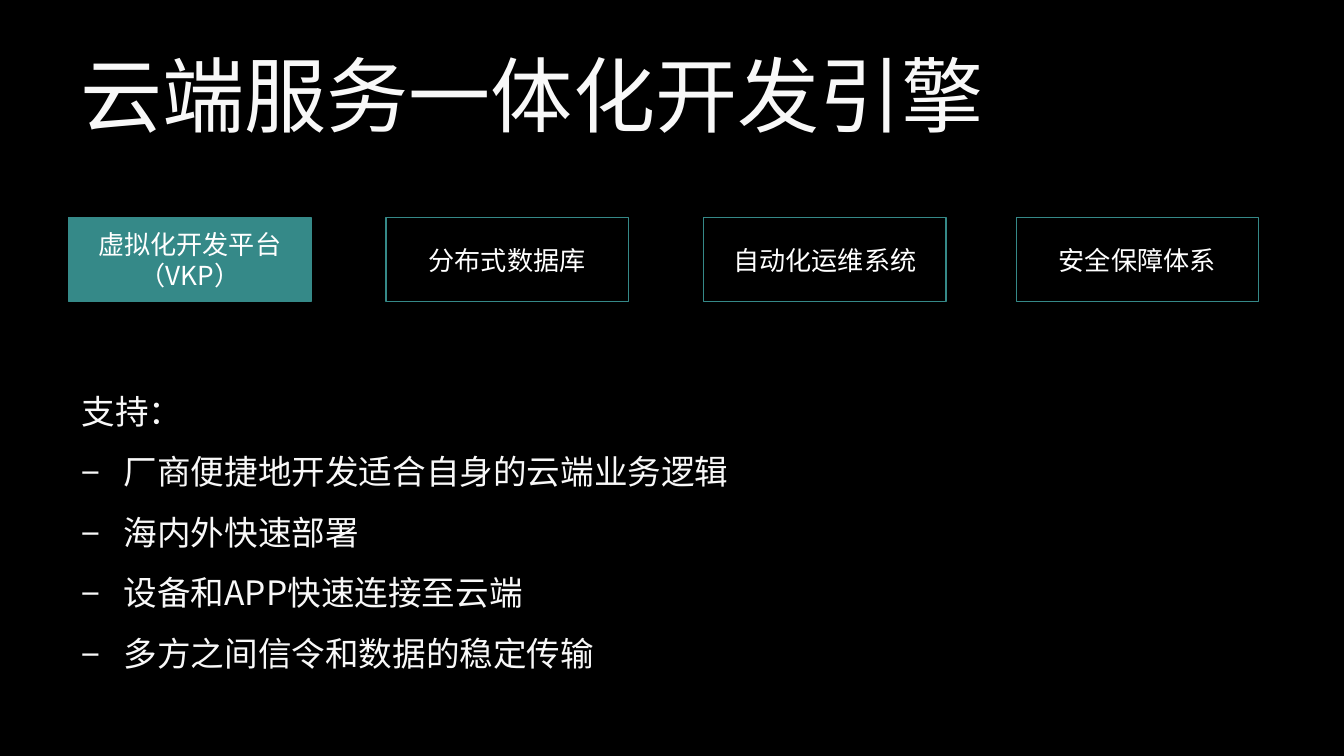
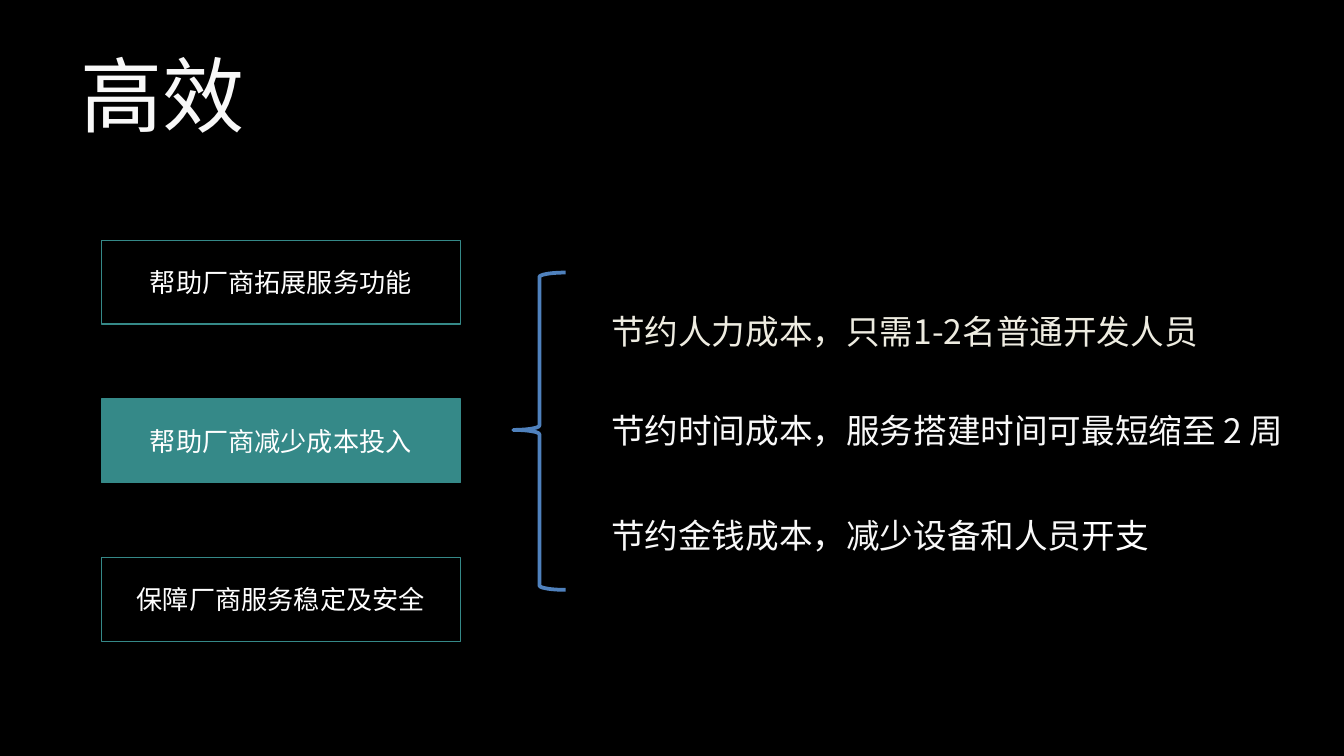
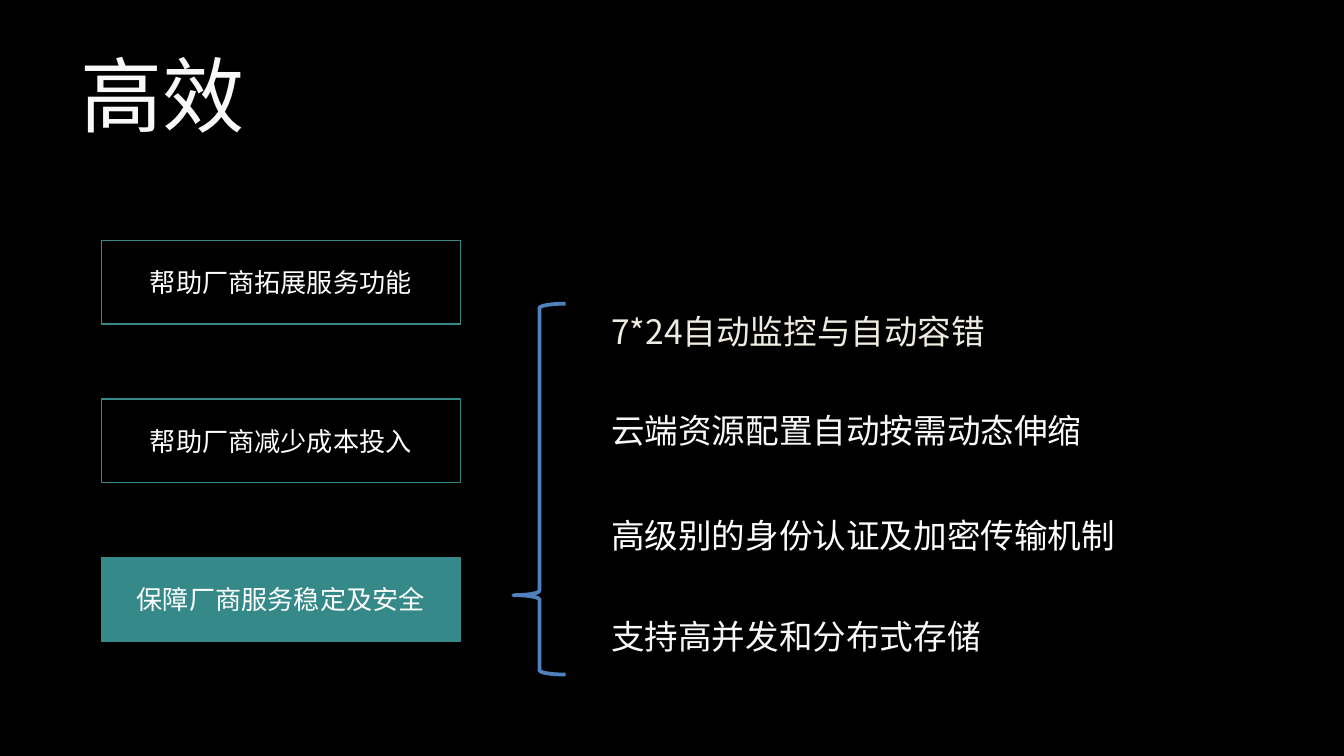
import pptx
import pptx.util
import pptx.dml.color
import pptx.enum.shapes
import pptx.enum.text
import pptx.oxml.ns
import lxml.etree

Pt = pptx.util.Pt
RGB = pptx.dml.color.RGBColor
SHAPE = pptx.enum.shapes.MSO_SHAPE
ALIGN = pptx.enum.text.PP_ALIGN
ANCHOR = pptx.enum.text.MSO_ANCHOR
FIT = pptx.enum.text.MSO_AUTO_SIZE
qn = pptx.oxml.ns.qn

FONT = "Noto Sans CJK SC"
BLACK = RGB(0x00, 0x00, 0x00)
WHITE = RGB(0xFF, 0xFF, 0xFF)
SOFT = RGB(0xF8, 0xF8, 0xF8)
CREAM = RGB(0xEE, 0xEC, 0xE1)
TEAL = RGB(0x35, 0x89, 0x88)
BLUE = RGB(0x4F, 0x81, 0xBD)

TABS = ["虚拟化开发平台（VKP）", "分布式数据库", "自动化运维系统", "安全保障体系"]
NEEDS = ["厂商便捷地开发适合自身的云端业务逻辑", "海内外快速部署",
         "设备和APP快速连接至云端", "多方之间信令和数据的稳定传输"]
GOALS = ["帮助厂商拓展服务功能", "帮助厂商减少成本投入", "保障厂商服务稳定及安全"]
COSTS = [
    (364, [("节约人力成本，只需1-2名普通开发人员", CREAM)]),
    (385, [("节约时间成本，服务搭建时间可最短缩至 2 周", SOFT)]),
    (305, [("节约金钱成本，减少设备和人员", SOFT), ("开支", WHITE)]),
]
GUARDS = [
    (364, [("7*24自动监控与自动容错", CREAM)]),
    (385, [("云端资源配置自动按需动态伸缩", SOFT)]),
    (287, [("高级别的身份认证及加密传输机制", WHITE)]),
    (215, [("支持高并发和分布式存储", SOFT)]),
]
ROW_TOPS = [0, 53.3, 109.2, 163.2]


def style(run, size, color):
    """Set the font, size and colour of a run."""
    run.font.size = Pt(size)
    run.font.color.rgb = color
    run.font.name = FONT
    props = run._r.get_or_add_rPr()
    lxml.etree.SubElement(props, qn("a:ea")).set("typeface", FONT)


def add_text(slide, box, lines, size, color):
    """Add a text box with one paragraph for each line."""
    frame = slide.shapes.add_textbox(*map(Pt, box)).text_frame
    frame.word_wrap = True
    for num, line in enumerate(lines):
        para = frame.add_paragraph() if num else frame.paragraphs[0]
        para.text = line
        style(para.runs[0], size, color)
    return frame


def add_page(deck, title):
    """Add a black slide with its title."""
    slide = deck.slides.add_slide(deck.slide_layouts[6])
    slide.background.fill.solid()
    slide.background.fill.fore_color.rgb = BLACK
    frame = add_text(slide, (36, 16.5, 648, 67.5), [title], 44, SOFT)
    frame.vertical_anchor = ANCHOR.MIDDLE
    return slide


def add_card(slide, box, label, active):
    """Add an outlined label, filled when active."""
    card = slide.shapes.add_shape(SHAPE.RECTANGLE, *map(Pt, box))
    card.shadow.inherit = False
    if active:
        card.fill.solid()
        card.fill.fore_color.rgb = TEAL
    else:
        card.fill.background()
    card.line.color.rgb = TEAL
    card.line.width = Pt(0.75)
    frame = card.text_frame
    frame.text = label
    frame.vertical_anchor = ANCHOR.MIDDLE
    frame.paragraphs[0].alignment = ALIGN.CENTER
    style(frame.paragraphs[0].runs[0], 14, WHITE)


def add_tabs(slide, left, top, active):
    """Add the row of engine parts."""
    for num, (label, shift) in enumerate(zip(TABS, [0, 170, 340.2, 507.6])):
        add_card(slide, (left + shift, top, 129.8, 44.8), label, num == active)


def add_needs(slide, box):
    """Add the lead line and its dashed list."""
    frame = add_text(slide, box, ["支持：", *NEEDS], 18, SOFT)
    frame.auto_size = FIT.SHAPE_TO_FIT_TEXT
    for num, para in enumerate(frame.paragraphs):
        para.line_spacing = 1.5
        if num:
            props = para._p.get_or_add_pPr()
            props.set("marL", str(Pt(22.5)))
            props.set("indent", str(-Pt(22.5)))
            lxml.etree.SubElement(props, qn("a:buFont")).set("typeface", FONT)
            lxml.etree.SubElement(props, qn("a:buChar")).set("char", "−")


def add_goals(slide, left, top, active):
    """Add the column of goals."""
    for num, label in enumerate(GOALS):
        box = (left, top + num * 85, 192.4, 44.8)
        add_card(slide, box, label, num == active)


def add_brace(slide, box, point):
    """Add the brace whose tip sits at the given share of its height."""
    brace = slide.shapes.add_shape(SHAPE.LEFT_BRACE, *map(Pt, box))
    brace.shadow.inherit = False
    brace.fill.background()
    brace.line.color.rgb = BLUE
    brace.line.width = Pt(2)
    brace.adjustments[0] = 0.083
    brace.adjustments[1] = point


def add_rows(slide, left, top, rows):
    """Add the statements beside the brace."""
    for num, (shift, (width, parts)) in enumerate(zip(ROW_TOPS, rows)):
        box = (left, top + shift, width, 29)
        (first, color), *rest = parts
        frame = add_text(slide, box, [first], 18, color)
        frame.word_wrap = num < 2
        frame.auto_size = FIT.SHAPE_TO_FIT_TEXT
        for text, color in rest:
            run = frame.paragraphs[0].add_run()
            run.text = text
            style(run, 18, color)


def engine_page(deck):
    """Build the slide on the development engine."""
    slide = add_page(deck, "云端服务一体化开发引擎")
    add_needs(slide, (36.7, 195, 638, 169))
    add_tabs(slide, 36.8, 116.7, 0)


def goal_page(deck, active, brace, point, rows):
    """Build a slide that opens up one goal."""
    slide = add_page(deck, "高效")
    add_goals(slide, 54.3, 128.8, active)
    add_brace(slide, brace, point)
    add_rows(slide, 320.3, 163, rows)


def main():
    """Build and save the deck."""
    deck = pptx.Presentation()
    deck.slide_width = Pt(720)
    deck.slide_height = Pt(405)
    engine_page(deck)
    goal_page(deck, 1, (275, 146, 28, 170), 0.496, COSTS)
    goal_page(deck, 2, (275, 162.7, 28, 198.7), 0.786, GUARDS)
    deck.save("out.pptx")


if __name__ == "__main__":
    main()
